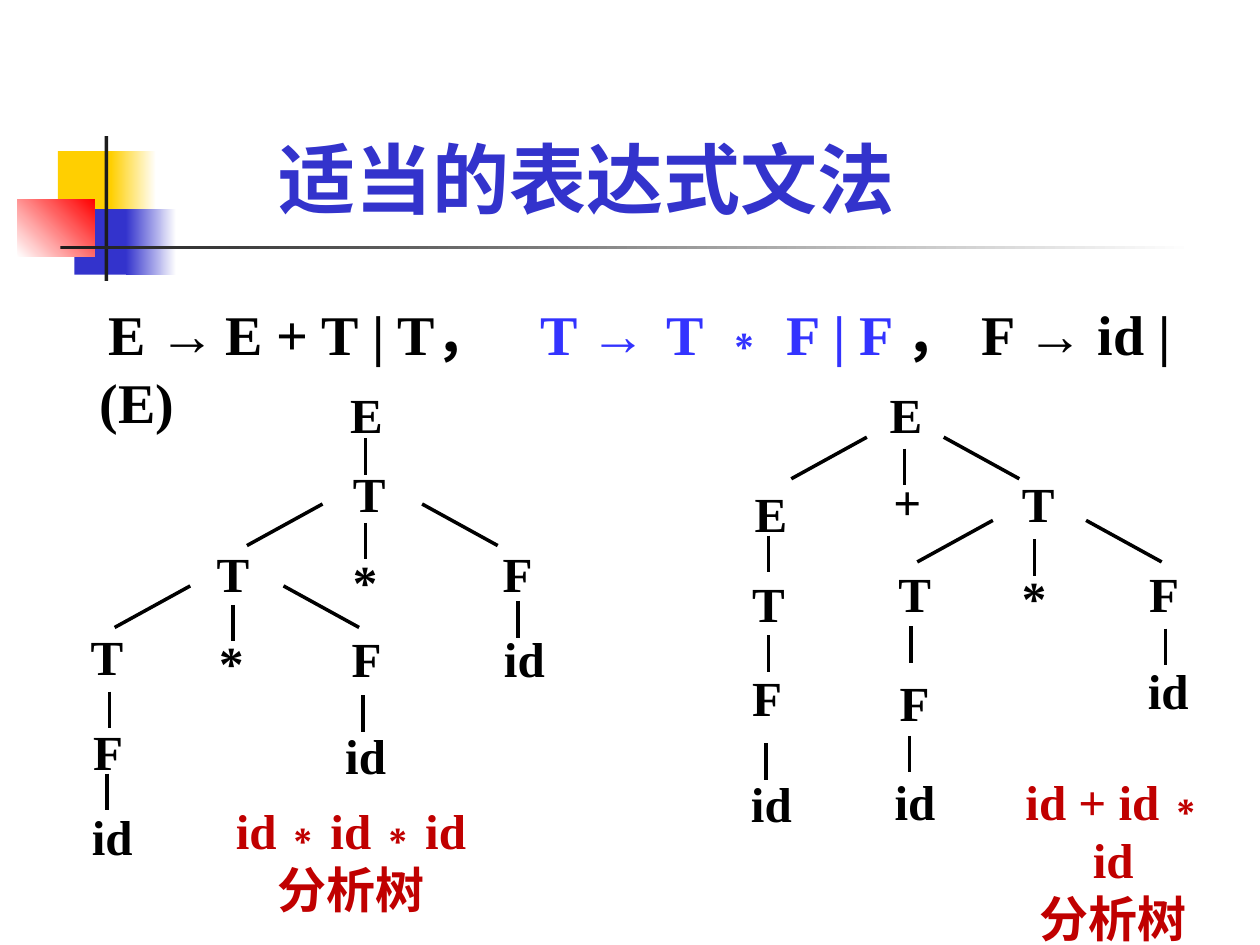
from lxml import etree
from pptx import Presentation
from pptx.dml.color import RGBColor
from pptx.enum.shapes import MSO_CONNECTOR as CONN, MSO_SHAPE as SHAPE
from pptx.enum.text import MSO_ANCHOR as ANCHOR, MSO_AUTO_SIZE as AUTO, PP_ALIGN as ALIGN
from pptx.oxml.ns import qn
from pptx.util import Inches, Pt

COLORS = {"black": "000000", "white": "FFFFFF", "ink": "1C1C1C", "yellow": "FFCF01",
          "blue": "3333CC", "rule": "3333FF", "red": "FF0000", "caption": "C00000"}
SERIF, MONO, CJK = "Times New Roman", "Courier New", "Noto Sans CJK SC"


def rgb(name):
    return RGBColor.from_string(COLORS[name])


class SlideBuilder:
    """Holds the style and the slide being filled."""
    node_size = 28
    line_width = 2
    stem_height = 0.29
    branch = (0.6, 0.33)

    def __init__(self, slide):
        self.s = slide

    def run(self, p, text, size, color="black", font=SERIF, east=None):
        r = p.add_run()
        r.text = text
        r.font.size, r.font.bold, r.font.name = Pt(size), True, font
        r.font.color.rgb = rgb(color)
        if east:
            ea = etree.Element(qn("a:ea"), typeface=east)
            r.font._element.find(qn("a:latin")).addnext(ea)

    def place(self, sp, x, y, w, h):
        sp.left, sp.top, sp.width, sp.height = map(Inches, (x, y, w, h))
        sp.text_frame.auto_size = AUTO.NONE
        return sp.text_frame

    def title(self, text, *box):
        tf = self.place(self.s.shapes.title, *box)
        tf.vertical_anchor = ANCHOR.BOTTOM
        p = tf.paragraphs[0]
        p.alignment, p.line_spacing = ALIGN.CENTER, 1.1
        self.run(p, text, 44, "blue", east=CJK)

    def grammar(self, parts, indent, tabs, *box):
        tf = self.place(self.s.placeholders[1], *box)
        p = tf.paragraphs[0]
        p.space_before = Pt(0)
        pPr = p._p.get_or_add_pPr()
        pPr.set("marL", "0")
        pPr.set("indent", str(Inches(indent)))
        etree.SubElement(pPr, qn("a:buNone"))
        tab_list = etree.SubElement(pPr, qn("a:tabLst"))
        for pos in tabs:
            etree.SubElement(tab_list, qn("a:tab"), pos=str(Inches(pos)), algn="l")
        for text, color in parts:
            self.run(p, text, 32, color)

    def block(self, x, y, w, h, color, end=None, angle=0):
        sp = self.s.shapes.add_shape(SHAPE.RECTANGLE, *map(Inches, (x, y, w, h)))
        sp.shadow.inherit = False
        sp.line.fill.background()
        if end is None:
            sp.fill.solid()
            sp.fill.fore_color.rgb = rgb(color)
            return
        sp.fill.gradient()
        sp.fill.gradient_angle = angle
        for stop, name in zip(sp.fill.gradient_stops, (color, end)):
            stop.color.rgb = rgb(name)

    def line(self, x1, y1, x2, y2):
        c = self.s.shapes.add_connector(CONN.STRAIGHT, *map(Inches, (x1, y1, x2, y2)))
        c.line.color.rgb = rgb("black")
        c.line.width = Pt(self.line_width)
        etree.SubElement(c._element.spPr, qn("a:effectLst"))

    def stem(self, x, y):
        self.line(x, y, x, y + self.stem_height)

    def fork(self, left, right, y):
        dx, dy = self.branch
        self.line(left, y, left - dx, y + dy)
        self.line(right, y, right + dx, y + dy)

    def node(self, text, x, y):
        sp = self.s.shapes.add_textbox(*map(Inches, (x, y, 0.5, 0.55)))
        tf = sp.text_frame
        tf.word_wrap = True
        tf.margin_left = tf.margin_right = Inches(0.02)
        tf.margin_top = tf.margin_bottom = Inches(0.01)
        self.run(tf.paragraphs[0], text, self.node_size)

    def tree(self, nodes, stems, forks):
        for node in nodes:
            self.node(*node)
        for stem in stems:
            self.stem(*stem)
        for fork in forks:
            self.fork(*fork)

    def caption(self, expression, label, *box):
        sp = self.s.shapes.add_textbox(*map(Inches, box))
        tf = sp.text_frame
        tf.word_wrap = False
        tf.vertical_anchor = ANCHOR.MIDDLE
        p = tf.paragraphs[0]
        for i, part in enumerate(expression.split("∗")):
            if i:
                self.run(p, "∗", self.node_size, "caption", MONO)
            self.run(p, part, self.node_size, "caption")
        self.run(tf.add_paragraph(), label, self.node_size, "caption", CJK, CJK)
        for p in tf.paragraphs:
            p.alignment = ALIGN.CENTER


def main():
    prs = Presentation()
    prs.slide_width, prs.slide_height = Inches(10), Inches(7.5)
    b = SlideBuilder(prs.slides.add_slide(prs.slide_layouts[1]))

    # Corner ornament and rule under the title
    b.block(0.46, 1.2, 0.48, 0.52, "yellow")
    b.block(0.88, 1.2, 0.36, 0.52, "yellow", "white")
    b.block(0.59, 1.66, 0.46, 0.52, "blue")
    b.block(1, 1.66, 0.4, 0.52, "blue", "white")
    b.block(0.14, 1.58, 0.61, 0.46, "white", "red", 45)
    b.block(0.83, 1.08, 0.03, 1.15, "ink")
    b.block(0.48, 1.95, 9, 0.03, "ink", "white")

    # Title and grammar rules
    b.title("适当的表达式文法", 1.26, 0.23, 6.79, 1.6)
    b.grammar([("E →\tE + T | T，\t", "black"), ("T →\tT ∗ F | F ", "rule"),
               ("，\tF → id | (E)", "black")],
              0.07, (1.14, 3.49, 4.52, 7.01), 0.69, 2.33, 8.99, 0.83)

    # Parse tree of id ∗ id ∗ id
    b.tree(
        nodes=[("E", 2.76, 3.04), ("T", 2.78, 3.67),
               ("T", 1.7, 4.3), ("*", 2.78, 4.37), ("F", 3.97, 4.3),
               ("T", 0.7, 4.96), ("*", 1.72, 5.01), ("F", 2.77, 4.98), ("id", 3.98, 4.98),
               ("F", 0.72, 5.72), ("id", 2.72, 5.75), ("id", 0.71, 6.39)],
        stems=[(2.9, 3.48), (2.9, 4.15), (4.11, 4.77), (1.85, 4.8),
               (0.87, 5.49), (2.88, 5.52), (0.85, 6.14)],
        forks=[(2.56, 3.35, 4), (1.51, 2.25, 4.65)])

    # Parse tree of id + id ∗ id
    b.tree(
        nodes=[("E", 7.04, 3.04), ("E", 5.97, 3.83), ("+", 7.07, 3.73), ("T", 8.09, 3.75),
               ("T", 5.95, 4.54), ("T", 7.11, 4.46), ("*", 8.09, 4.49), ("F", 9.1, 4.46),
               ("F", 5.95, 5.29), ("F", 7.12, 5.33), ("id", 9.09, 5.23),
               ("id", 5.94, 6.13), ("id", 7.08, 6.11)],
        stems=[(7.18, 3.56), (6.1, 4.25), (8.21, 4.28), (6.1, 5.04),
               (7.23, 4.97), (9.25, 4.99), (6.08, 5.9), (7.22, 5.84)],
        forks=[(6.88, 7.49, 3.47), (7.88, 8.62, 4.13)])

    # Captions
    b.caption("id ∗ id ∗ id", "分析树", 1.76, 6.31, 2.05, 1.02)
    b.caption("id + id ∗ id", "分析树", 7.89, 6.35, 1.89, 0.94)

    prs.save("out.pptx")


if __name__ == "__main__":
    main()
